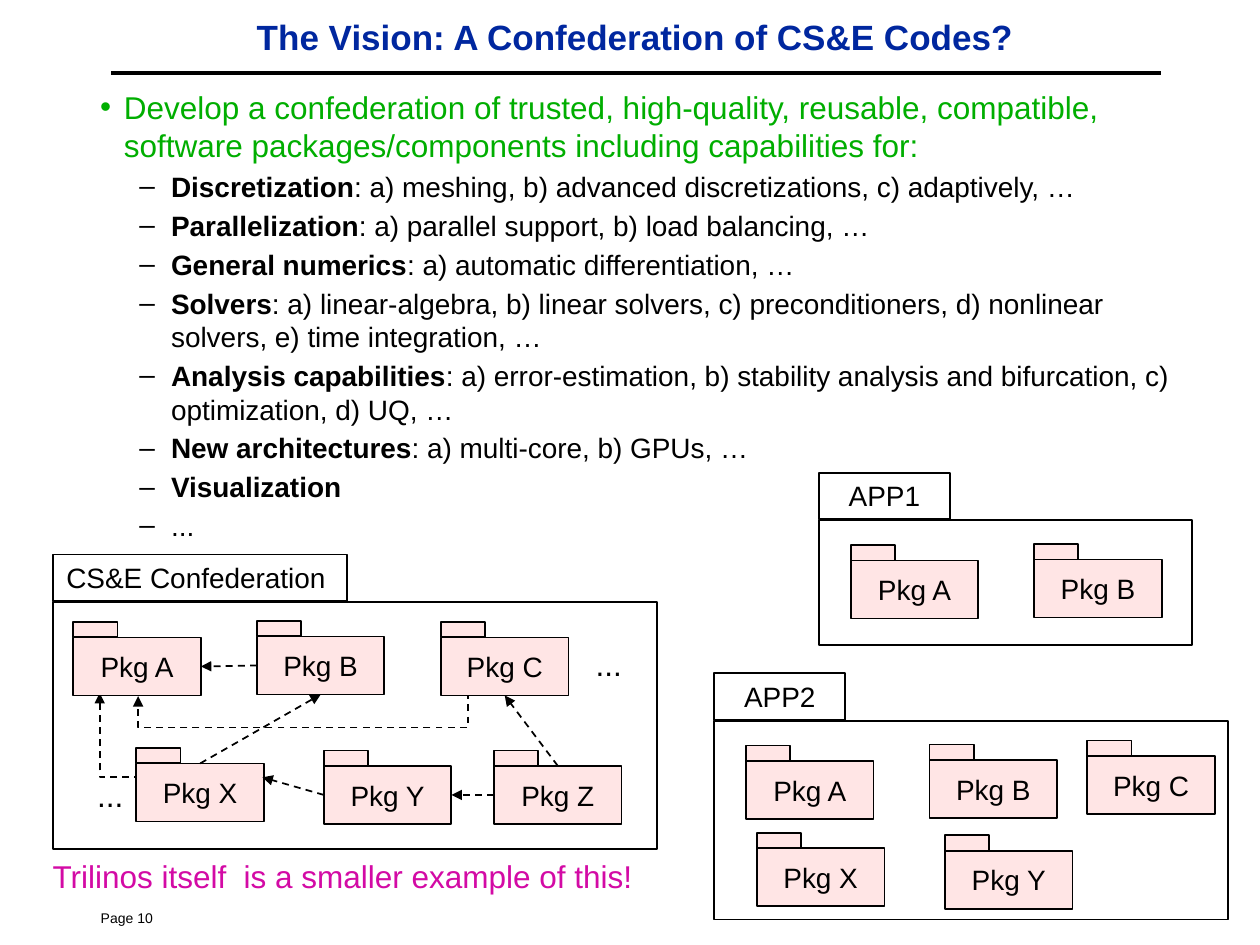
from lxml import etree
from pptx import Presentation
from pptx.dml.color import RGBColor
from pptx.enum.dml import MSO_LINE
from pptx.enum.shapes import MSO_CONNECTOR, MSO_SHAPE
from pptx.enum.text import MSO_ANCHOR, PP_ALIGN
from pptx.oxml.ns import qn
from pptx.util import Cm, Pt

BLACK, WHITE, PINK = "000000", "FFFFFF", "FFE5E5"
NAVY, GREEN, MAGENTA = "00279F", "00AE00", "D30AA5"

PKG_W, PKG_H = 2.57, 1.17
TAB_W, TAB_H = 0.89, 0.31
LABEL_H, LABEL_RISE = 0.94, 0.96

GOAL = ("Develop a confederation of trusted, high-quality, reusable, compatible, "
        "software packages/components including capabilities for:")
CAPABILITIES = [
    ("Discretization", ": a) meshing, b) advanced discretizations, c) adaptively, …"),
    ("Parallelization", ": a) parallel support, b) load balancing, …"),
    ("General numerics", ": a) automatic differentiation, …"),
    ("Solvers", ": a) linear-algebra, b) linear solvers, c) preconditioners, "
                "d) nonlinear solvers, e) time integration, …"),
    ("Analysis capabilities", ": a) error-estimation, b) stability analysis and "
                              "bifurcation, c) optimization, d) UQ, …"),
    ("New architectures", ": a) multi-core, b) GPUs, …"),
    ("Visualization", ""),
    ("", "..."),
]

# Package positions relative to the panel that holds them
CONFEDERATION_PKGS = {"A": (0.41, 0.71), "B": (4.11, 0.69), "C": (7.82, 0.71),
                      "X": (1.68, 3.25), "Y": (5.46, 3.3), "Z": (8.89, 3.3)}
APP1_PKGS = {"A": (0.64, 0.81), "B": (4.34, 0.79)}
APP2_PKGS = {**APP1_PKGS, "C": (7.52, 0.71), "X": (0.86, 2.57), "Y": (4.65, 2.62)}

# Dependencies: package, its side, package it uses, that side
TOP, LEFT, BOTTOM, RIGHT = range(4)
DEPENDENCIES = [("B", LEFT, "A", RIGHT), ("X", TOP, "B", BOTTOM),
                ("Z", TOP, "C", BOTTOM), ("Z", LEFT, "Y", RIGHT)]


def rgb(value):
    return RGBColor.from_string(value)


def add_run(paragraph, text, size, color=BLACK, bold=False):
    run = paragraph.add_run()
    run.text = text
    for name, value in {"name": "Arial", "size": Pt(size), "bold": bold}.items():
        setattr(run.font, name, value)
    run.font.color.rgb = rgb(color)


def add_text(slide, box, text, size, color=BLACK, bold=False, align=PP_ALIGN.LEFT,
             anchor=MSO_ANCHOR.TOP, wrap=True):
    frame = slide.shapes.add_textbox(*map(Cm, box)).text_frame
    for name, value in {"word_wrap": wrap, "vertical_anchor": anchor}.items():
        setattr(frame, name, value)
    paragraph = frame.paragraphs[0]
    paragraph.alignment = align
    add_run(paragraph, text, size, color, bold)
    return paragraph


def add_rect(shapes, box, fill, text="", anchor=MSO_ANCHOR.MIDDLE, wrap=False):
    rect = shapes.add_shape(MSO_SHAPE.RECTANGLE, *map(Cm, box))
    rect.shadow.inherit = False
    if fill:
        rect.fill.solid()
        rect.fill.fore_color.rgb = rgb(fill)
    else:
        rect.fill.background()
    rect.line.color.rgb = rgb(BLACK)
    rect.line.width = Pt(1)
    if text:
        frame = rect.text_frame
        for name, value in {"word_wrap": wrap, "vertical_anchor": anchor}.items():
            setattr(frame, name, value)
        frame.paragraphs[0].alignment = PP_ALIGN.CENTER
        add_run(frame.paragraphs[0], text, 16)
    return rect


def add_line(slide, start, end, width=1, kind=MSO_CONNECTOR.STRAIGHT, arrow=True):
    line = slide.shapes.add_connector(kind, *map(Cm, (*start, *end)))
    line.line.color.rgb = rgb(BLACK)
    line.line.width = Pt(width)
    if arrow:
        line.line.dash_style = MSO_LINE.DASH
        etree.SubElement(line.line._get_or_add_ln(), qn("a:tailEnd"), type="triangle")
    etree.SubElement(line._element.spPr, qn("a:effectLst"))
    return line


def add_elbow(slide, box, preset, degrees, bend=None):
    left, top, width, height = box
    elbow = add_line(slide, (left, top), (left + width, top + height),
                     kind=MSO_CONNECTOR.ELBOW)
    properties = elbow._element.spPr
    properties.find(qn("a:xfrm")).set("rot", str(degrees * 60000))
    geometry = properties.find(qn("a:prstGeom"))
    geometry.set("prst", preset)
    if bend:
        etree.SubElement(geometry.find(qn("a:avLst")), qn("a:gd"), name="adj1",
                         fmla=f"val {round(bend * 100000)}")


def add_package(slide, left, top, letter):
    parts = slide.shapes.add_group_shape().shapes
    body = add_rect(parts, (left, top, PKG_W, PKG_H), PINK, f"Pkg {letter}")
    add_rect(parts, (left, top - TAB_H, TAB_W, TAB_H), PINK)
    return body


def add_header(slide, left, top, width):
    add_text(slide, (left, top, width, 1.07), " The Vision: A Confederation of CS&E Codes?",
             20, NAVY, True, PP_ALIGN.CENTER, MSO_ANCHOR.MIDDLE)
    rule_y = top + 1.27
    add_line(slide, (left + 0.33, rule_y), (left + width - 0.1, rule_y), 2, arrow=False)


def format_bullet(paragraph, level, margin, hang, mark, color, after):
    paragraph.level = level
    paragraph.space_after = Pt(after)
    properties = paragraph._p.get_or_add_pPr()
    for name, value in {"marL": margin, "indent": -hang}.items():
        properties.set(name, str(Cm(value)))
    bullet_color = etree.SubElement(properties, qn("a:buClr"))
    etree.SubElement(bullet_color, qn("a:srgbClr"), val=color)
    etree.SubElement(properties, qn("a:buFont"), typeface="Arial")
    etree.SubElement(properties, qn("a:buChar"), char=mark)


def add_goals(slide, box):
    frame = slide.shapes.add_textbox(*map(Cm, box)).text_frame
    frame.word_wrap = True
    goal = frame.paragraphs[0]
    format_bullet(goal, 0, 0.95, 0.48, "•", GREEN, 3.4)
    add_run(goal, GOAL, 18, GREEN)
    for topic, details in CAPABILITIES:
        capability = frame.add_paragraph()
        format_bullet(capability, 1, 1.9, 0.64, "–", BLACK, 3)
        for text, bold in ((topic, True), (details, False)):
            if text:
                add_run(capability, text, 16, bold=bold)


def add_panel(slide, box, label, label_width, fill=None):
    left, top = box[:2]
    add_rect(slide.shapes, box, fill)
    add_rect(slide.shapes, (left, top - LABEL_RISE, label_width, LABEL_H), None,
             label, MSO_ANCHOR.TOP, wrap=True)


def add_packages(slide, left, top, places):
    return {letter: add_package(slide, left + x, top + y, letter)
            for letter, (x, y) in places.items()}


def add_confederation(slide, box):
    left, top = box[:2]
    add_panel(slide, box, "CS&E Confederation ", 5.92)
    # Bent dependencies: C to A, then X to A
    add_elbow(slide, (left + 5, top - 1.47, 0.08, 6.65), "bentConnector3", 90, 0.71 / 0.08)
    add_elbow(slide, (left + 0.94, top + 1.83, 0.84, 1.7), "bentConnector2", 180)
    for x, y in ((10.69, 0.74), (0.64, 3.38)):
        add_text(slide, (left + x, top + y, 1.04, 1.02), "...", 18, wrap=False)
    packages = add_packages(slide, left, top, CONFEDERATION_PKGS)
    # Straight dependencies
    for user, user_side, used, used_side in DEPENDENCIES:
        link = add_line(slide, (left, top), (left, top))
        link.begin_connect(packages[user], user_side)
        link.end_connect(packages[used], used_side)
    y_to_x = add_line(slide, (left, top), (left + 4.22, top + 3.53))
    y_to_x.begin_connect(packages["Y"], LEFT)


def add_app(slide, box, label, places):
    add_panel(slide, box, label, 2.64, WHITE)
    add_packages(slide, *box[:2], places)


def add_footer(slide, left, top):
    closing = add_text(slide, (left, top, 12.7, 1.02),
                       "Trilinos itself  is a smaller example of this!", 18, MAGENTA)
    closing._p.get_or_add_pPr().set("marL", str(Cm(0.48)))
    add_text(slide, (left + 1.45, top + 1.06, 5.28, 0.56), "Page 10", 8)


def main():
    presentation = Presentation()
    presentation.slide_width, presentation.slide_height = Cm(25.4), Cm(19.05)
    slide = presentation.slides.add_slide(presentation.slide_layouts[6])
    add_header(slide, 1.91, 0.2, 21.59)
    add_goals(slide, (1.3, 1.65, 22.81, 9.4))
    add_confederation(slide, (1.07, 12.14, 12.17, 4.98))
    add_app(slide, (16.51, 10.49, 7.52, 2.51), "APP1", APP1_PKGS)
    add_app(slide, (14.4, 14.53, 10.36, 4.01), "APP2", APP2_PKGS)
    add_footer(slide, 0.33, 17.15)
    presentation.save("out.pptx")


if __name__ == "__main__":
    main()
